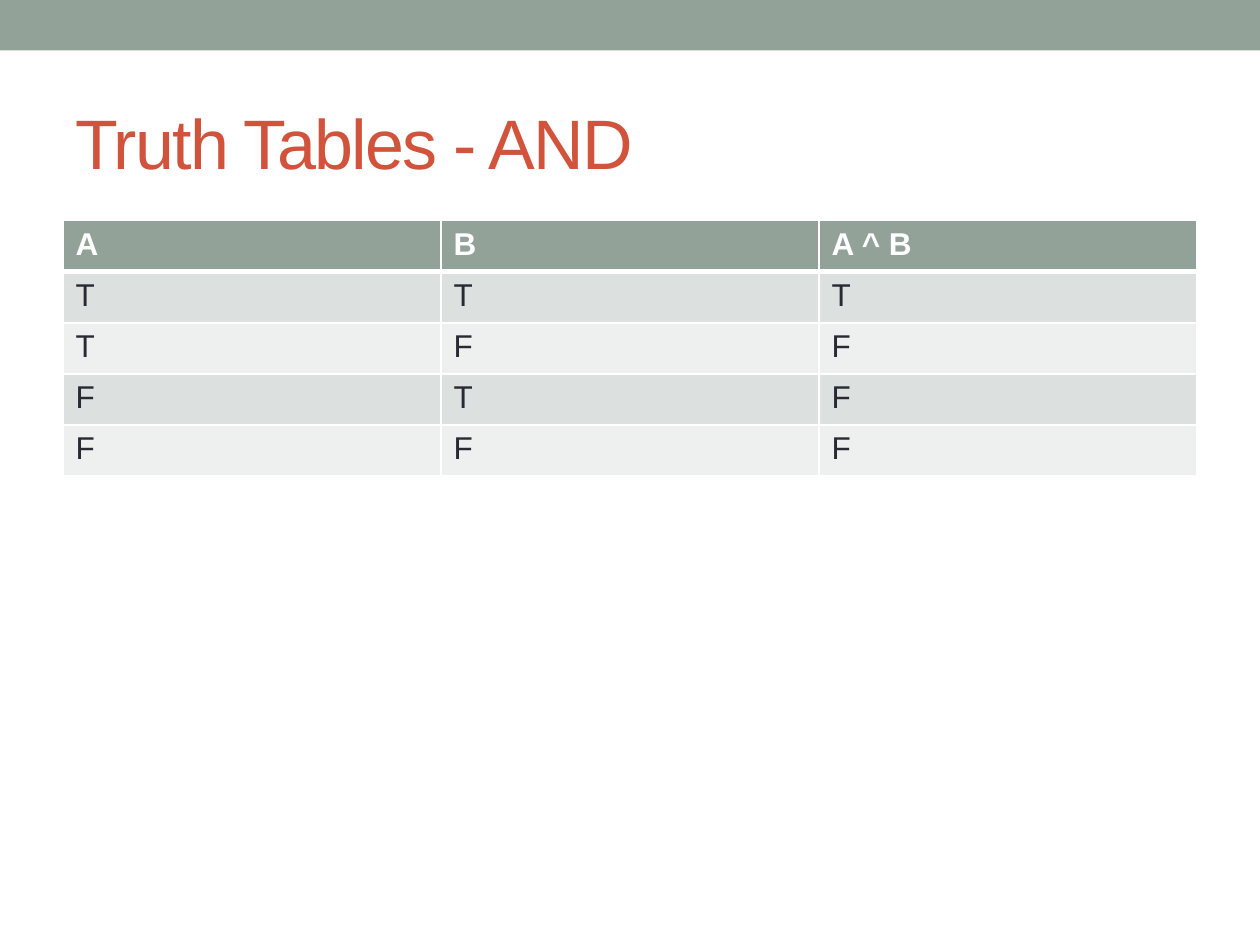
from itertools import product

from lxml.etree import SubElement
from pptx import Presentation
from pptx.dml.color import RGBColor
from pptx.enum.shapes import MSO_SHAPE as Shape
from pptx.enum.text import MSO_ANCHOR as Anchor, PP_ALIGN as Align
from pptx.oxml.ns import qn
from pptx.util import Inches, Pt

SAGE, RUST, INK, WHITE = "93A299", "D2533C", "292934", "FFFFFF"
BANDS = ["DCE0DE", "EEF0EF"]


def paint(color_format, color):
    color_format.rgb = RGBColor.from_string(color)


def format_text(paragraph, color, **values):
    font = paragraph.runs[0].font
    for name, value in {"name": "Arial", **values}.items():
        setattr(font, name, value)
    paint(font.color, color)


presentation = Presentation()
presentation.slide_width, presentation.slide_height = Inches(10), Inches(7.5)
width = presentation.slide_width
margin = int(width * 0.05)
content_width = width - 2 * margin
slide = presentation.slides.add_slide(presentation.slide_layouts[5])

# Top band
band = slide.shapes.add_shape(Shape.RECTANGLE, 0, 0, width, Inches(0.4))
band.shadow.inherit = False
band.fill.solid()
paint(band.fill.fore_color, SAGE)
band.line.fill.background()

# Title
title = slide.shapes.title
place = {"left": margin, "top": Inches(0.58), "width": content_width, "height": Inches(1.08)}
for name, value in place.items():
    setattr(title, name, value)
title.text_frame.text = "Truth Tables - AND"
title.text_frame.vertical_anchor = Anchor.MIDDLE
paragraph = title.text_frame.paragraphs[0]
paragraph.alignment = Align.LEFT
format_text(paragraph, RUST, size=Pt(40))
paragraph.runs[0].font._element.set("spc", "-100")

# Truth table: every pair of values and its conjunction
rows = [["A", "B", "A ^ B"]]
for a, b in product([True, False], repeat=2):
    rows.append(["T" if value else "F" for value in (a, b, a and b)])

row_height = Inches(2.03 / len(rows))
table = slide.shapes.add_table(len(rows), len(rows[0]), margin, Inches(1.75),
                               content_width, row_height * len(rows)).table
for row_index, row in enumerate(rows):
    header = row_index == 0
    for column_index, text in enumerate(row):
        cell = table.cell(row_index, column_index)
        cell.text = text
        format_text(cell.text_frame.paragraphs[0], WHITE if header else INK,
                    size=Pt(18), bold=header)

        # White borders, thicker under the header
        line_widths = {"lnL": 1, "lnR": 1, "lnT": 3 if row_index == 1 else 1,
                       "lnB": 3 if header else 1}
        properties = cell._tc.get_or_add_tcPr()
        for side, points in line_widths.items():
            line = SubElement(properties, qn(f"a:{side}"), w=str(Pt(points)))
            fill = SubElement(line, qn("a:solidFill"))
            SubElement(fill, qn("a:srgbClr"), val=WHITE)

        cell.fill.solid()
        paint(cell.fill.fore_color, SAGE if header else BANDS[(row_index - 1) % 2])

presentation.save("out.pptx")
